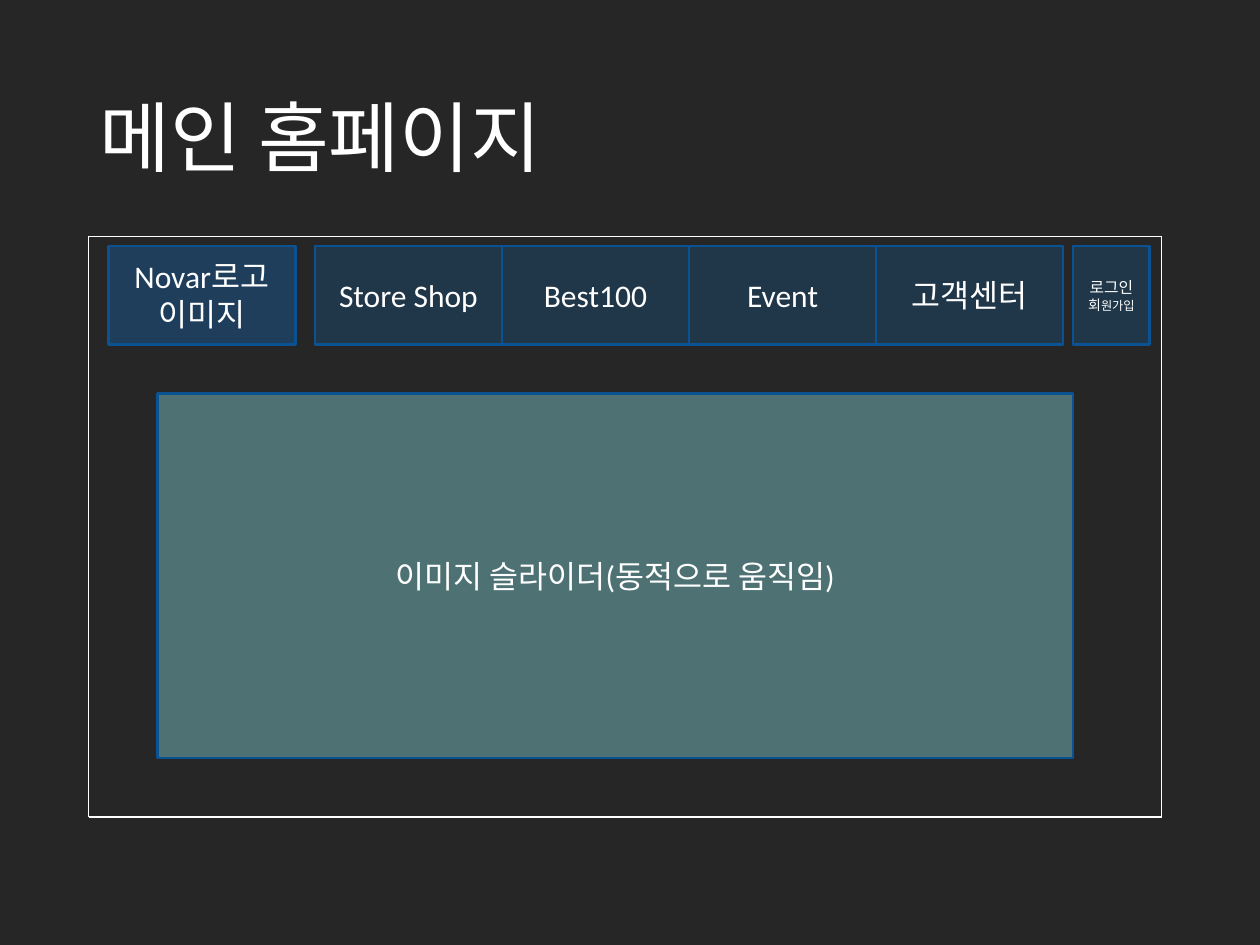
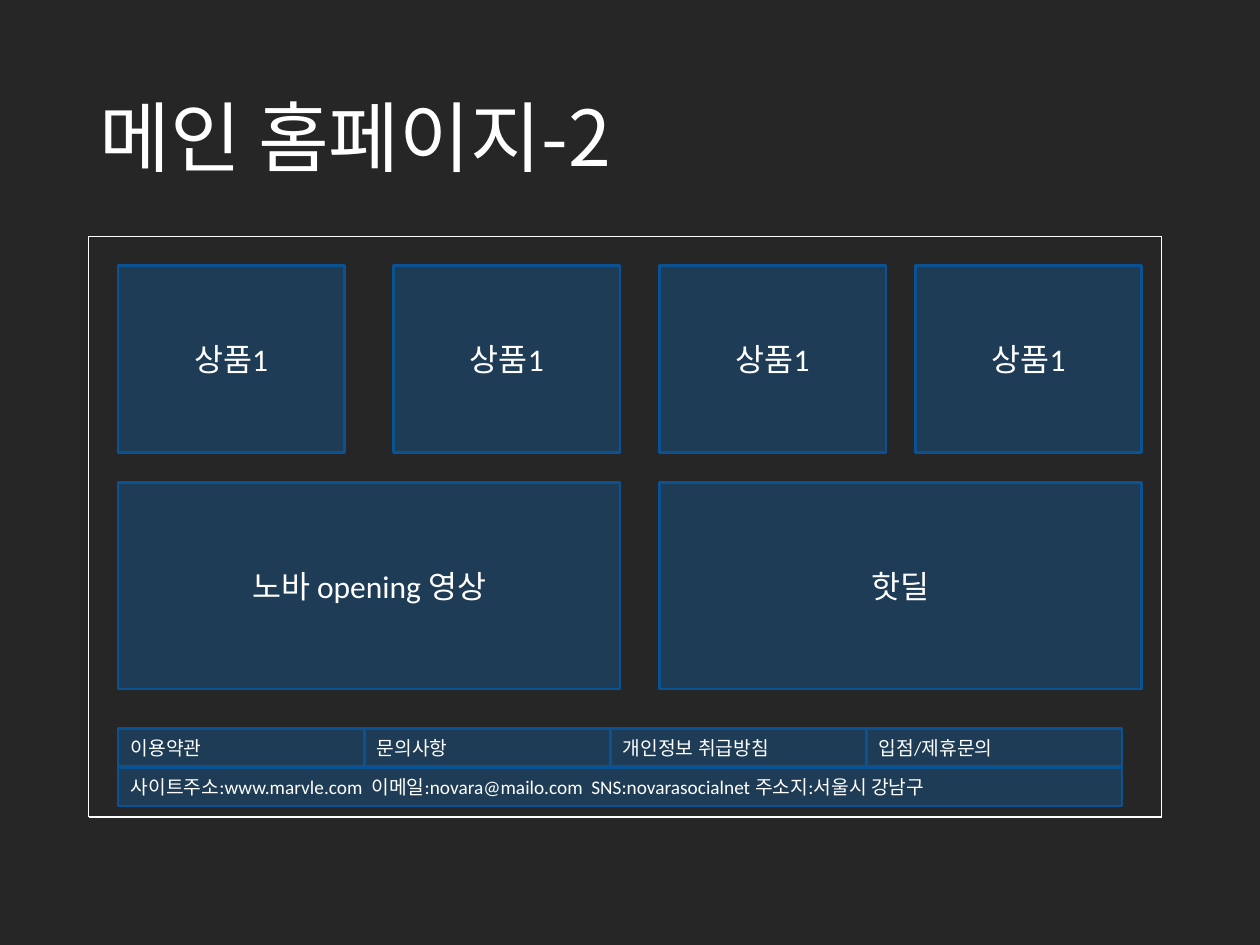
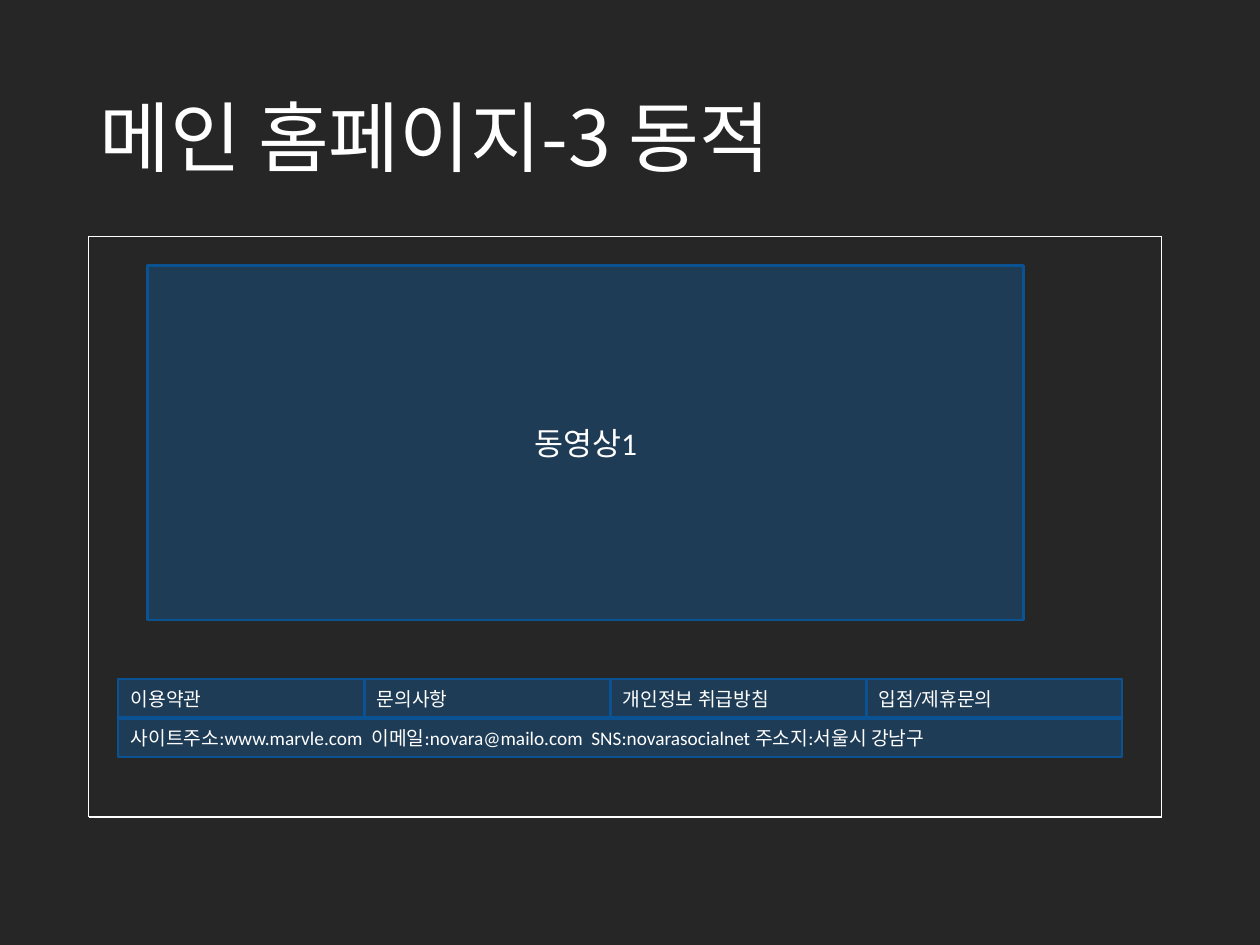
from dataclasses import dataclass
from itertools import accumulate

from lxml import etree
from pptx import Presentation
from pptx.dml.color import RGBColor
from pptx.enum.shapes import MSO_CONNECTOR, MSO_SHAPE
from pptx.enum.text import MSO_ANCHOR, MSO_AUTO_SIZE, PP_ALIGN
from pptx.oxml.ns import qn
from pptx.util import Inches, Pt

CENTER = PP_ALIGN.CENTER
JUSTIFY = PP_ALIGN.JUSTIFY
LEFT = PP_ALIGN.LEFT
MIDDLE = MSO_ANCHOR.MIDDLE
NO_AUTOFIT = MSO_AUTO_SIZE.NONE
RECTANGLE = MSO_SHAPE.RECTANGLE
STRAIGHT = MSO_CONNECTOR.STRAIGHT

SLIDE_WIDTH = Inches(10)
SLIDE_HEIGHT = Inches(7.5)
GRID_COLUMNS = 128
GRID_ROWS = 96

BACKGROUND = "262626"
WHITE = "FFFFFF"
BLUE = "0F6FC6"
BORDER = "0B5292"
AQUA = "94F5FA"
LATIN_FONT = "Calibri"
KOREAN_FONT = "Noto Sans CJK KR"

LABEL_SIZE = 18
FOOTER_SIZE = 11
FOOTER_LINKS = ["이용약관", "문의사항", "개인정보 취급방침", "입점/제휴문의"]
FOOTER_WIDTHS = [25, 25, 26, 26]
FOOTER_ADDRESS = (
    "사이트주소:www.marvle.com  이메일:novara@mailo.com  "
    "SNS:novarasocialnet 주소지:서울시 강남구"
)


@dataclass
class Box:
    column: float
    row: float
    columns: float
    rows: float

    def inner(self, column, row, columns, rows):
        return Box(self.column + column, self.row + row, columns, rows)

    def place(self):
        return (
            int(SLIDE_WIDTH * self.column / GRID_COLUMNS),
            int(SLIDE_HEIGHT * self.row / GRID_ROWS),
            int(SLIDE_WIDTH * self.columns / GRID_COLUMNS),
            int(SLIDE_HEIGHT * self.rows / GRID_ROWS),
        )


TITLE = Box(8.8, 5.1, 110.4, 18.6)
FRAME = Box(9, 24, 109, 59)


def color(value):
    return RGBColor.from_string(value)


def add_run(paragraph, text, size, latin=LATIN_FONT):
    run = paragraph.add_run()
    run.text = text
    run.font.size = Pt(size)
    run.font.name = latin
    run.font.color.rgb = color(WHITE)
    east_asian = etree.SubElement(run.font._element, qn("a:ea"))
    east_asian.set("typeface", KOREAN_FONT)


def add_panel(slide, box, lines, opacity=30, fill=BLUE, size=LABEL_SIZE, align=CENTER):
    shape = slide.shapes.add_shape(RECTANGLE, *box.place())
    shape.shadow.inherit = False
    shape.fill.solid()
    shape.fill.fore_color.rgb = color(fill)
    fill_color = shape._element.spPr.find(qn("a:solidFill"))[0]
    etree.SubElement(fill_color, qn("a:alpha")).set("val", str(opacity * 1000))
    shape.line.color.rgb = color(BORDER)
    shape.line.width = Pt(1.5)
    frame = shape.text_frame
    frame.word_wrap = True
    frame.vertical_anchor = MIDDLE
    for index, line in enumerate(lines):
        paragraph = frame.add_paragraph() if index else frame.paragraphs[0]
        paragraph.alignment = align
        runs = [(line, size)] if isinstance(line, str) else line
        for text, run_size in runs:
            add_run(paragraph, text, run_size)


def add_title(slide, text):
    title = slide.shapes.title
    title.left, title.top, title.width, title.height = TITLE.place()
    frame = title.text_frame
    frame.auto_size = NO_AUTOFIT
    frame.word_wrap = True
    frame.vertical_anchor = MIDDLE
    paragraph = frame.paragraphs[0]
    paragraph.alignment = LEFT
    paragraph.line_spacing = 0.9
    add_run(paragraph, text, 44, KOREAN_FONT)


def add_page_frame(slide, box):
    left, top, width, height = box.place()
    right, bottom = left + width, top + height
    edges = [
        (left, top, left, bottom),
        (right, top, right, bottom),
        (left, bottom, right, bottom),
        (left, top, right, top),
    ]
    for edge in edges:
        connector = slide.shapes.add_connector(STRAIGHT, *edge)
        connector.line.color.rgb = color(WHITE)
        connector.line.width = Pt(0.75)
        etree.SubElement(connector._element.spPr, qn("a:effectLst"))


def add_navigation(slide, box):
    add_panel(slide, box.inner(0, 0, 19, box.rows), ["Novar로고", "이미지"], 34)
    for index, label in enumerate(["Store Shop", "Best100", "Event", "고객센터"]):
        add_panel(slide, box.inner(21 + 19 * index, 0, 19, box.rows), [label], 22)
    login = [[("로그인", 9)], [("회", 8), ("원가입", 7)]]
    add_panel(slide, box.inner(98, 0, 7.8, box.rows), login, 22)


def add_products(slide, box):
    for column in [0, 28, 55, 81]:
        add_panel(slide, box.inner(column, 0, 23, box.rows), ["상품1"])


def add_features(slide, box):
    add_panel(slide, box.inner(0, 0, 51, box.rows), ["노바 opening 영상"])
    add_panel(slide, box.inner(55, 0, 49, box.rows), ["핫딜"])


def add_site_footer(slide, box):
    row = box.rows / 2
    height = row - 0.1
    address = box.inner(0, row, box.columns, height)
    add_panel(slide, address, [FOOTER_ADDRESS], size=FOOTER_SIZE, align=JUSTIFY)
    starts = accumulate(FOOTER_WIDTHS, initial=0)
    for label, start, width in zip(FOOTER_LINKS, starts, FOOTER_WIDTHS):
        link = box.inner(start, 0, width, height)
        add_panel(slide, link, [label], size=FOOTER_SIZE, align=JUSTIFY)


def add_page(presentation, title):
    slide = presentation.slides.add_slide(presentation.slide_layouts[5])
    add_title(slide, title)
    add_page_frame(slide, FRAME)
    return slide


def build_main_page(presentation):
    slide = add_page(presentation, "메인 홈페이지")
    add_navigation(slide, FRAME.inner(2, 1, 105.8, 10))
    slider = FRAME.inner(7, 16, 93, 37)
    add_panel(slide, slider, ["이미지 슬라이더(동적으로 움직임)"], 37, AQUA)


def build_product_page(presentation):
    slide = add_page(presentation, "메인 홈페이지-2")
    add_products(slide, FRAME.inner(3, 3, 104, 19))
    add_features(slide, FRAME.inner(3, 25, 104, 21))
    add_site_footer(slide, FRAME.inner(3, 50, 102, 8))


def build_video_page(presentation):
    slide = add_page(presentation, "메인 홈페이지-3 동적")
    add_panel(slide, FRAME.inner(6, 3, 89, 36), ["동영상1"])
    add_site_footer(slide, FRAME.inner(3, 45, 102, 8))


def main():
    presentation = Presentation()
    presentation.slide_width = SLIDE_WIDTH
    presentation.slide_height = SLIDE_HEIGHT
    background = presentation.slide_master.background.fill
    background.solid()
    background.fore_color.rgb = color(BACKGROUND)
    build_main_page(presentation)
    build_product_page(presentation)
    build_video_page(presentation)
    presentation.save("out.pptx")


if __name__ == "__main__":
    main()
